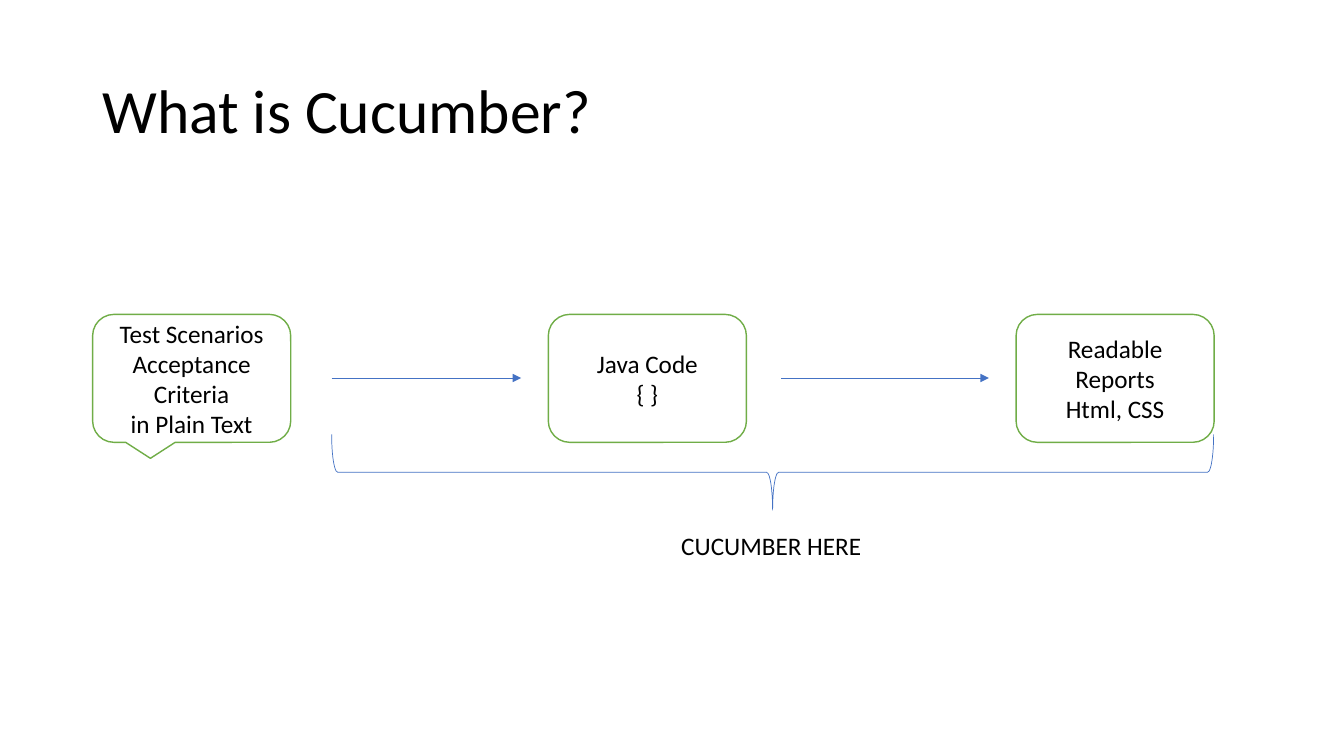
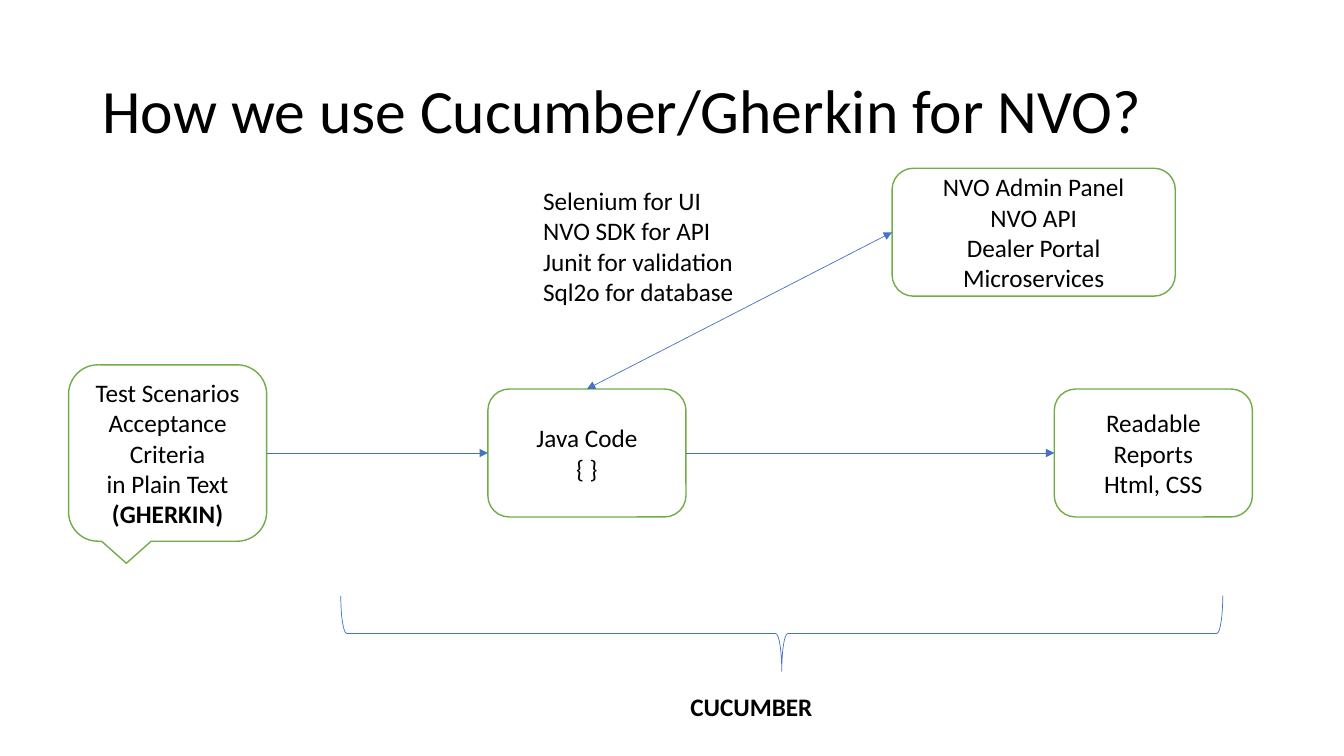
from lxml import etree
from pptx import Presentation
from pptx.dml.color import RGBColor
from pptx.enum.shapes import MSO_CONNECTOR, MSO_SHAPE
from pptx.enum.text import MSO_ANCHOR, PP_ALIGN
from pptx.oxml.ns import qn
from pptx.util import Pt

LEFT, CENTER = PP_ALIGN.LEFT, PP_ALIGN.CENTER
MIDDLE, TOP = MSO_ANCHOR.MIDDLE, MSO_ANCHOR.TOP
ROUNDED = MSO_SHAPE.ROUNDED_RECTANGLE
CALLOUT = MSO_SHAPE.ROUNDED_RECTANGULAR_CALLOUT
BRACE = MSO_SHAPE.LEFT_BRACE
STRAIGHT = MSO_CONNECTOR.STRAIGHT

FONT = "Calibri"
BLACK, WHITE, GREEN, BLUE = "000000", "FFFFFF", "70AD47", "4472C4"
TITLE_BOX = (66, 28.8, 828, 104.4)
NODE_WIDTH, NODE_HEIGHT = 141.5, 91.4
BRACE_WIDTH, BRACE_HEIGHT = 630, 54
TITLE_ONLY = 5
TOP_SITE, LEFT_SITE, RIGHT_SITE = 0, 1, 3

SCENARIOS = "Test Scenarios Acceptance Criteria\nin Plain Text"
CODE = "Java Code\n{ }"
REPORTS = "Readable Reports\nHtml, CSS"


def color(value):
    return RGBColor.from_string(value)


def points(box):
    return [Pt(length) for length in box]


def write(shape, text, size=18, align=LEFT, anchor=TOP, bold=(), wrap=True, spacing=None):
    frame = shape.text_frame
    frame.word_wrap = wrap
    frame.vertical_anchor = anchor
    for index, line in enumerate(text.split("\n")):
        para = frame.paragraphs[0] if index == 0 else frame.add_paragraph()
        para.alignment = align
        para.line_spacing = spacing
        span = para.add_run()
        span.text = line
        span.font.name = FONT
        span.font.size = Pt(size)
        span.font.bold = line in bold
        span.font.color.rgb = color(BLACK)


def outline(shape, value, width):
    shape.line.color.rgb = color(value)
    shape.line.width = Pt(width)


def add_page(deck, title):
    page = deck.slides.add_slide(deck.slide_layouts[TITLE_ONLY])
    heading = page.shapes.title
    heading.left, heading.top, heading.width, heading.height = points(TITLE_BOX)
    write(heading, title, size=44, anchor=MIDDLE, spacing=0.9)
    return page


def add_node(page, box, text, kind=ROUNDED, bold=()):
    node = page.shapes.add_shape(kind, *points(box))
    node.shadow.inherit = False
    node.fill.solid()
    node.fill.fore_color.rgb = color(WHITE)
    outline(node, GREEN, 1)
    write(node, text, align=CENTER, anchor=MIDDLE, bold=bold)
    return node


def add_arrow(page, start=(0, 0), end=(0, 0), ends=("tailEnd",)):
    arrow = page.shapes.add_connector(STRAIGHT, *points(start + end))
    outline(arrow, BLUE, 0.5)
    for name in ends:
        etree.SubElement(arrow.line._get_or_add_ln(), qn("a:" + name), type="triangle")
    etree.SubElement(arrow._element.spPr, qn("a:effectLst"))
    return arrow


def link(page, source, source_site, target, target_site, **options):
    arrow = add_arrow(page, **options)
    arrow.begin_connect(source, source_site)
    arrow.end_connect(target, target_site)


def add_label(page, box, text, **options):
    write(page.shapes.add_textbox(*points(box)), text, **options)


def add_brace(page, left, top, label, label_width, bold=()):
    shift = (BRACE_WIDTH - BRACE_HEIGHT) / 2
    brace = page.shapes.add_shape(
        BRACE, *points((left + shift, top - shift, BRACE_HEIGHT, BRACE_WIDTH)))
    brace.rotation = 270
    brace.adjustments[0], brace.adjustments[1] = 0.08, 0.5
    brace.shadow.inherit = False
    brace.fill.background()
    outline(brace, BLUE, 0.5)
    label_box = (left + 242.6, top + BRACE_HEIGHT + 10.8, label_width, 28.8)
    add_label(page, label_box, label, wrap=False, bold=bold)


def overview_page(deck):
    page = add_page(deck, "What is Cucumber?")
    top, middle = 224.6, 270
    for left, text, kind in ((66.2, SCENARIOS, CALLOUT), (391.7, CODE, ROUNDED),
                             (725.8, REPORTS, ROUNDED)):
        add_node(page, (left, top, NODE_WIDTH, NODE_HEIGHT), text, kind)
    for start, end in ((236.9, 372.2), (558, 706.3)):
        add_arrow(page, (start, middle), (end, middle))
    add_brace(page, 236.9, 310.3, "CUCUMBER HERE", 144)


def usage_page(deck):
    page = add_page(deck, "How we use Cucumber/Gherkin for NVO?")
    middle = 323.6
    top = middle - NODE_HEIGHT / 2
    scenarios = add_node(page, (49, middle - 63, NODE_WIDTH, 126),
                         SCENARIOS + "\n(GHERKIN)", CALLOUT, bold=("(GHERKIN)",))
    code = add_node(page, (348.5, top, NODE_WIDTH, NODE_HEIGHT), CODE)
    reports = add_node(page, (753.1, top, NODE_WIDTH, NODE_HEIGHT), REPORTS)
    systems = add_node(page, (637.2, 120.2, 202.3, NODE_HEIGHT),
                       "NVO Admin Panel\nNVO API\nDealer Portal\nMicroservices")
    link(page, scenarios, RIGHT_SITE, code, LEFT_SITE)
    link(page, code, RIGHT_SITE, reports, LEFT_SITE)
    link(page, code, TOP_SITE, systems, LEFT_SITE, ends=("headEnd", "tailEnd"))
    add_brace(page, 243.4, 425.5, "CUCUMBER", 103, bold=("CUCUMBER",))
    add_label(page, (380.9, 128.9, 162.7, 94.3),
              "Selenium for UI\nNVO SDK for API\nJunit for validation\nSql2o for database")


deck = Presentation()
deck.slide_width, deck.slide_height = Pt(960), Pt(540)
overview_page(deck)
usage_page(deck)
deck.save("out.pptx")
